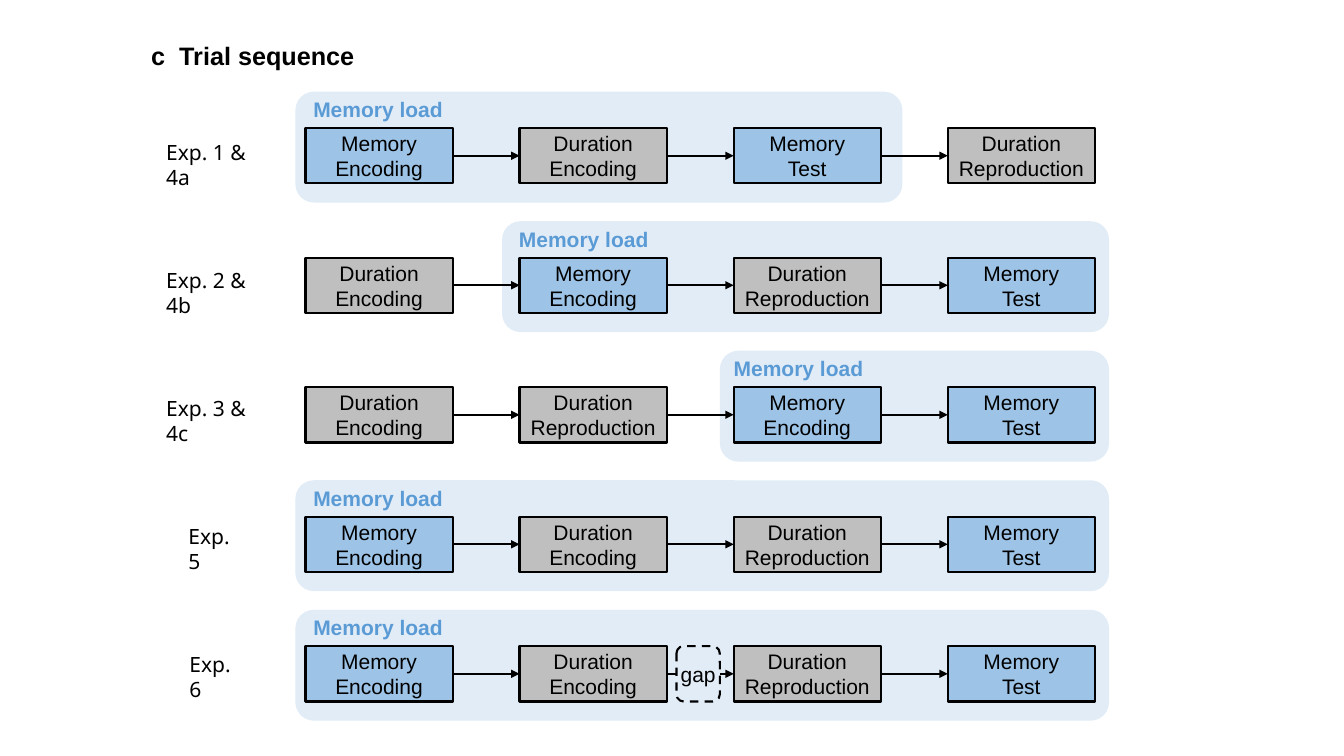
"""Draw the trial sequence of each experiment as rows of linked steps."""
import dataclasses

import lxml.etree
import pptx
import pptx.dml.color
import pptx.enum.dml
import pptx.enum.shapes
import pptx.enum.text
import pptx.oxml.ns
import pptx.util

Inches = pptx.util.Inches
SHAPE = pptx.enum.shapes.MSO_SHAPE
ALIGN = pptx.enum.text.PP_ALIGN
ANCHOR = pptx.enum.text.MSO_ANCHOR


def tint(hexa):
    return pptx.dml.color.RGBColor.from_string(hexa)


def apply(target, values):
    for name, value in values.items():
        setattr(target, name, value)


def child(parent, tag, **values):
    return lxml.etree.SubElement(parent, pptx.oxml.ns.qn(tag), **values)


def seek(item, tag):
    return item.element.spPr.find(".//" + pptx.oxml.ns.qn(tag))


@dataclasses.dataclass
class Board:
    slide: object
    font: str = "Arial"
    size: float = 15
    ink: str = "000000"
    blue: str = "5B9BD5"
    weight: float = 1.5

    def words(self, shape, lines, align=ALIGN.LEFT, anchor=ANCHOR.TOP, side=0.1, wrap=True, **style):
        frame = shape.text_frame
        edge, rim = Inches(side), Inches(0.05)
        apply(frame, {"word_wrap": wrap, "vertical_anchor": anchor,
                      "margin_left": edge, "margin_right": edge,
                      "margin_top": rim, "margin_bottom": rim,
                      "auto_size": pptx.enum.text.MSO_AUTO_SIZE.NONE})
        look = {"name": self.font, "size": self.size, "bold": False, "color": self.ink} | style
        color = look.pop("color")
        look["size"] = pptx.util.Pt(look["size"])
        frame.text = "\n".join(lines)
        for para in frame.paragraphs:
            para.alignment = align
            for run in para.runs:
                apply(run.font, look)
                run.font.color.rgb = tint(color)

    def title(self, text, *area):
        head = self.slide.shapes.title
        apply(head, dict(zip(("left", "top", "width", "height"), map(Inches, area))))
        self.words(head, [text], size=18, bold=True)

    def label(self, lines, *area, **style):
        self.words(self.slide.shapes.add_textbox(*map(Inches, area)), lines, **style)

    def shape(self, kind, area, fill=None, line=True):
        item = self.slide.shapes.add_shape(kind, *map(Inches, area))
        item.shadow.inherit = False
        if fill:
            item.fill.solid()
            item.fill.fore_color.rgb = tint(fill)
        else:
            item.fill.background()
        if line:
            self.stroke(item.line)
        else:
            item.line.fill.background()
        return item

    def stroke(self, line):
        line.width = pptx.util.Pt(self.weight)
        line.color.rgb = tint(self.ink)

    def band(self, *area):
        item = self.shape(SHAPE.ROUNDED_RECTANGLE, area, self.blue, line=False)
        child(seek(item, "a:srgbClr"), "a:alpha", val="18000")

    def step(self, lines, fill, *area):
        item = self.shape(SHAPE.RECTANGLE, area, fill)
        self.words(item, lines, ALIGN.CENTER, ANCHOR.MIDDLE)

    def gap(self, *area):
        item = self.shape(SHAPE.ROUNDED_RECTANGLE, area)
        item.line.dash_style = pptx.enum.dml.MSO_LINE.DASH
        self.words(item, ["gap"], ALIGN.CENTER, ANCHOR.MIDDLE, side=0)

    def link(self, start, end, y, arrow=True):
        item = self.slide.shapes.add_connector(
            pptx.enum.shapes.MSO_CONNECTOR.STRAIGHT, *map(Inches, (start, y, end, y)))
        self.stroke(item.line)
        if arrow:
            child(seek(item, "a:ln"), "a:tailEnd", type="triangle")
        child(item.element.spPr, "a:effectLst")


STEPS = {
    "ME": (["Memory", "Encoding"], "9DC3E6"),
    "MT": (["Memory", "Test"], "9DC3E6"),
    "DE": (["Duration", "Encoding"], "BFBFBF"),
    "DR": (["Duration", "Reproduction"], "BFBFBF"),
}
TRIALS = [
    ("Exp. 1 & 4a", 1.55, 1.18, 2.93, 8.95, 3, "ME DE MT DR"),
    ("Exp. 2 & 4b", 1.55, 1.18, 4.98, 11, 5.04, "DE ME DR MT"),
    ("Exp. 3 & 4c", 1.55, 1.18, 7.14, 11, 7.17, "DE DR ME MT"),
    ("Exp.5", 1.77, 0.7, 2.93, 11, 3, "ME DE DR MT"),
    ("Exp. 6", 1.78, 0.74, 2.93, 11, 3, "ME DE DR MT"),
]
WIDE, HIGH = 1.46, 0.55
COLS = [3.03 + 6.37 * col / 3 for col in range(4)]
GAP = (6.71, 7.14)


def main():
    deck = pptx.Presentation()
    apply(deck, {"slide_width": Inches(13.33), "slide_height": Inches(7.5)})
    board = Board(deck.slides.add_slide(deck.slide_layouts[5]))
    board.title("c  Trial sequence", 1.4, 0.35, 2.6, 0.4)
    for row, (name, left, width, start, end, head, steps) in enumerate(TRIALS):
        top = 0.91 + 5.14 * row / 4
        box = top + 0.36
        mid = box + HIGH / 2
        board.label([name], left, 1.33 + 1.27 * row, width, 0.35, name="Noto Sans")
        board.band(start, top, end - start, 1.1)
        for x, key in zip(COLS, steps.split()):
            board.step(*STEPS[key], x, box, WIDE, HIGH)
        for col, (x, after) in enumerate(zip(COLS, COLS[1:])):
            if name == "Exp. 6" and col == 1:
                board.link(x + WIDE, GAP[0], mid, arrow=False)
                board.gap(GAP[0], box, GAP[1] - GAP[0], HIGH)
                board.link(GAP[1], after, mid)
            else:
                board.link(x + WIDE, after, mid)
        board.label(["Memory load"], head, top, 1.5, 0.35, align=ALIGN.CENTER,
                    wrap=False, bold=True, color=board.blue)
    deck.save("out.pptx")


if __name__ == "__main__":
    main()
